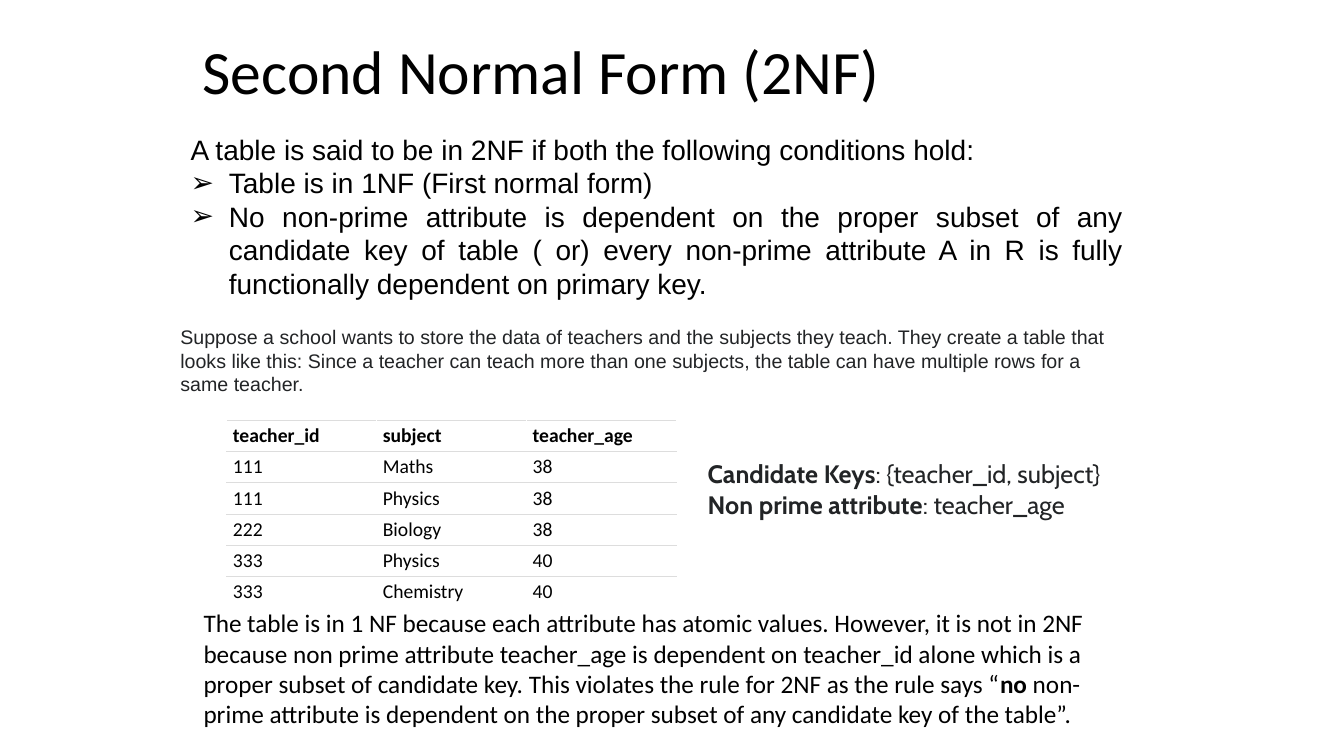
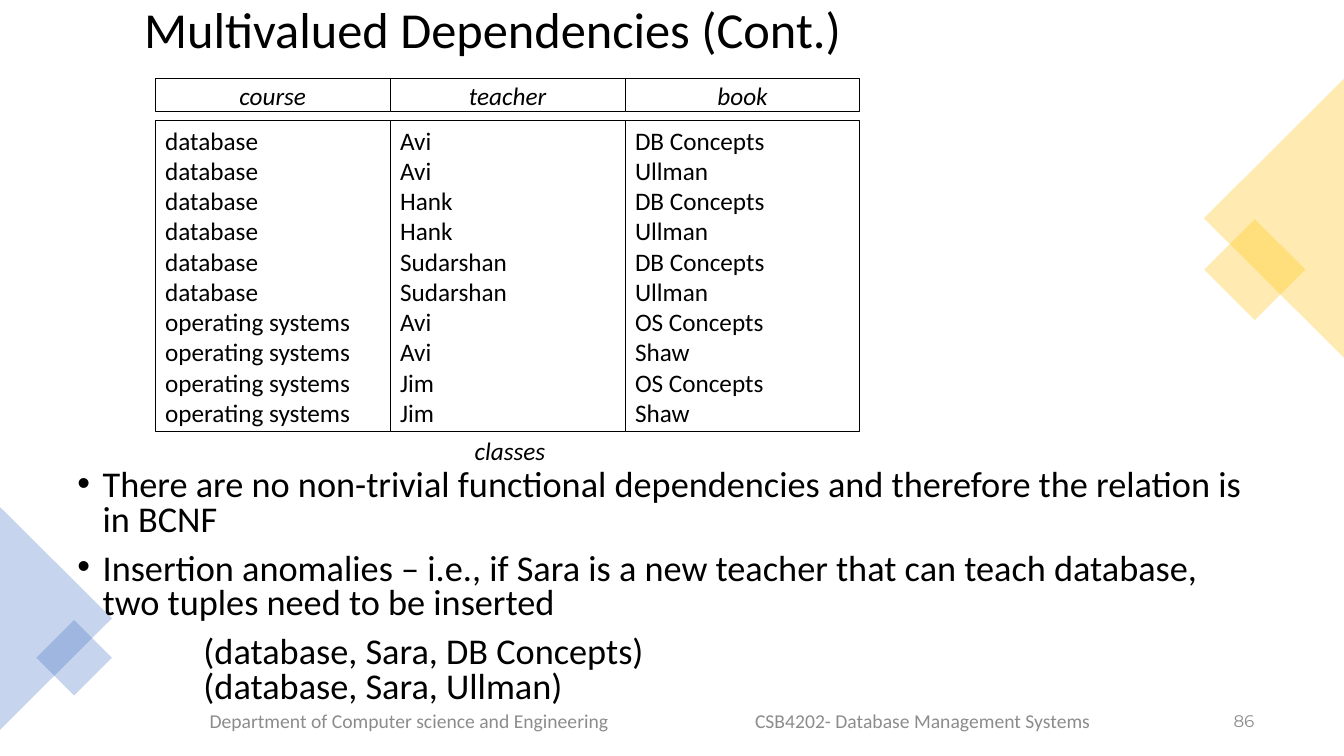
from lxml import etree
from pptx import Presentation
from pptx.dml.color import RGBColor
from pptx.enum.shapes import MSO_SHAPE as Shape
from pptx.enum.text import MSO_ANCHOR as Anchor, PP_ALIGN as Align
from pptx.oxml.ns import qn
from pptx.util import Inches, Pt

BLACK, WHITE, CHARCOAL = "000000", "FFFFFF", "222426"
GREY, RULE = "8C8C8C", "DDDDDD"
YELLOW, BLUE = "FFC000", "4472C4"
NO_INSETS = (0, 0, 0, 0)
DEFAULT_INSETS = (0.1, 0.05, 0.1, 0.05)


def rgb(color):
    return RGBColor.from_string(color)


def box_in(*lengths):
    return [Inches(length) for length in lengths]


# Text
def set_bullet(paragraph, mark, indent):
    """Indent a paragraph; a mark hangs in front of it."""
    properties = paragraph._p.get_or_add_pPr()
    properties.set("marL", str(Inches(indent)))
    if mark:
        properties.set("indent", str(-Inches(indent)))
        etree.SubElement(properties, qn("a:buFont"), typeface="Arial")
        etree.SubElement(properties, qn("a:buChar"), char=mark)


def style_paragraph(paragraph, size, font="Calibri", color=BLACK, bold=None,
                    italic=None, align=None):
    paragraph.alignment = align
    paragraph.font.size = Pt(size)
    paragraph.font.name = font
    paragraph.font.color.rgb = rgb(color)
    paragraph.font.bold = bold
    paragraph.font.italic = italic


def fill_frame(frame, paragraphs, size, anchor=Anchor.TOP,
               insets=DEFAULT_INSETS, bullets=(), spacing=None, gap=0, **style):
    """Each paragraph is a string or a list of (text, bold) runs."""
    frame.word_wrap = True
    frame.vertical_anchor = anchor
    (frame.margin_left, frame.margin_top,
     frame.margin_right, frame.margin_bottom) = box_in(*insets)
    for index, content in enumerate(paragraphs):
        paragraph = frame.add_paragraph() if index else frame.paragraphs[0]
        if bullets and bullets[index]:
            set_bullet(paragraph, *bullets[index])
        if isinstance(content, str):
            paragraph.text = content
        else:
            for text, bold in content:
                run = paragraph.add_run()
                run.text = text
                run.font.bold = bold
        paragraph.line_spacing = spacing
        if index and gap:
            paragraph.space_before = Pt(gap)
        style_paragraph(paragraph, size, **style)


def add_text(slide, box, paragraphs, size, **options):
    textbox = slide.shapes.add_textbox(*box_in(*box))
    fill_frame(textbox.text_frame, paragraphs, size, **options)


def add_title(slide, box, title, size, **options):
    add_text(slide, box, [title], size, anchor=Anchor.MIDDLE, **options)


# Shapes
def add_filled(slide, kind, box, color, line=None, rotation=0, opacity=None):
    shape = slide.shapes.add_shape(kind, *box_in(*box))
    shape.shadow.inherit = False
    shape.rotation = rotation
    shape.fill.solid()
    shape.fill.fore_color.rgb = rgb(color)
    if opacity:
        fill_color = shape.fill._xPr.find(qn("a:solidFill"))[0]
        etree.SubElement(fill_color, qn("a:alpha"), val=str(opacity * 1000))
    if line:
        shape.line.color.rgb = rgb(line)
        shape.line.width = Pt(0.75)
    else:
        shape.line.fill.background()
    return shape


def add_rule(cell, side):
    line = etree.SubElement(cell._tc.get_or_add_tcPr(), qn(f"a:{side}"),
                            w=str(Pt(0.75)))
    fill = etree.SubElement(line, qn("a:solidFill"))
    etree.SubElement(fill, qn("a:srgbClr"), val=RULE)


# Second normal form
def add_teacher_table(slide, left, top, width, row_height):
    rows = [
        ("teacher_id", "subject", "teacher_age"),
        ("111", "Maths", "38"),
        ("111", "Physics", "38"),
        ("222", "Biology", "38"),
        ("333", "Physics", "40"),
        ("333", "Chemistry", "40"),
    ]
    frame = slide.shapes.add_table(
        len(rows), len(rows[0]),
        *box_in(left, top, width, row_height * len(rows)))
    table = frame.table
    table.first_row = table.horz_banding = False
    for row_index, row in enumerate(rows):
        for column, value in enumerate(row):
            cell = table.cell(row_index, column)
            add_rule(cell, "lnT")
            if row_index < len(rows) - 1:
                add_rule(cell, "lnB")
            cell.fill.solid()
            cell.fill.fore_color.rgb = rgb(WHITE)
            cell.vertical_anchor = Anchor.MIDDLE
            cell.margin_left = cell.margin_right = Inches(0.06)
            cell.margin_top = cell.margin_bottom = Inches(0.03)
            paragraph = cell.text_frame.paragraphs[0]
            paragraph.text = value
            style_paragraph(paragraph, 14, bold=row_index == 0)


def build_second_normal_form(slide):
    add_title(slide, (2, 0.02, 8.83, 1.04), "Second Normal Form (2NF)", 44,
              insets=(0.01, 0.3, 0, 0))
    add_text(
        slide, (1.89, 1.25, 9.25, 2.42),
        ["A table is said to be in 2NF if both the following conditions hold:",
         "Table is in 1NF (First normal form)",
         "No non-prime attribute is dependent on the proper subset of any "
         "candidate key of table ( or) every non-prime attribute A in R is "
         "fully functionally dependent on primary key."],
        20, font="Arial", align=Align.JUSTIFY, insets=(0, 0.06, 0, 0),
        bullets=[None, ("➢", 0.38), ("➢", 0.38)])
    add_teacher_table(slide, 2.25, 4.17, 4.46, 0.31)

    # Example and its keys
    example = add_filled(slide, Shape.RECTANGLE, (1.69, 3.17, 9.5, 0.81), WHITE)
    fill_frame(
        example.text_frame,
        ["Suppose a school wants to store the data of teachers and the "
         "subjects they teach. They create a table that looks like this: "
         "Since a teacher can teach more than one subjects, the table can "
         "have multiple rows for a same teacher."],
        14, font="Arial", color=CHARCOAL, align=Align.LEFT,
        anchor=Anchor.MIDDLE)
    add_text(
        slide, (6.92, 4.5, 4.58, 0.71),
        [[("Candidate Keys", True), (": {teacher_id, subject}", None)],
         [("Non prime attribute", True), (": teacher_age", None)]],
        18, font="Cabin", color=CHARCOAL)

    # Conclusion
    add_text(
        slide, (1.92, 5.98, 9.42, 1.31),
        [[("The table is in 1 NF because each attribute has atomic values. "
           "However, it is not in 2NF because non prime attribute teacher_age "
           "is dependent on teacher_id alone which is a proper subset of "
           "candidate key. This violates the rule for 2NF as the rule says “",
           None),
          ("no", True),
          (" non-prime attribute is dependent on the proper subset of any "
           "candidate key of the table”.", None)]],
        18)


# Multivalued dependencies
def add_corner_decor(slide):
    for kind, box, rotation, color in [
        (Shape.RECTANGLE, (12.09, 2.32, 0.71, 0.71), 45, YELLOW),
        (Shape.ISOSCELES_TRIANGLE, (11.25, 1.47, 2.77, 1.39), 270, YELLOW),
        (Shape.ISOSCELES_TRIANGLE, (-0.55, 5.58, 2.21, 1.11), 90, BLUE),
        (Shape.RECTANGLE, (0.47, 6.26, 0.53, 0.53), 45, BLUE),
    ]:
        add_filled(slide, kind, box, color, rotation=rotation, opacity=30)


def add_footer(slide, top, height):
    for left, width, text, size, font, align in [
        (1.98, 4.6, "Department of Computer science and Engineering",
         14, "Calibri", Align.LEFT),
        (7.39, 4, "CSB4202- Database Management Systems",
         14, "Calibri", Align.LEFT),
        (11.82, 0.72, "86", 12, "Montserrat", Align.RIGHT),
    ]:
        add_text(slide, (left, top, width, height), [text], size, font=font,
                 color=GREY, align=align, anchor=Anchor.MIDDLE)


def add_classes_relation(slide, left, top, column_width):
    columns = {
        "course": ["database"] * 6 + ["operating systems"] * 4,
        "teacher": [name for name in ("Avi", "Hank", "Sudarshan", "Avi", "Jim")
                    for _ in range(2)],
        "book": ["DB Concepts", "Ullman"] * 3 + ["OS Concepts", "Shaw"] * 2,
    }
    for index, (heading, values) in enumerate(columns.items()):
        x = left + index * column_width
        for y, height, lines, italic, align in [
            (top, 0.33, [heading], True, Align.CENTER),
            (top + 0.42, 3.08, values, None, Align.LEFT),
        ]:
            column = add_filled(slide, Shape.RECTANGLE,
                                (x, y, column_width, height), WHITE, BLACK)
            fill_frame(column.text_frame, lines, 18, italic=italic,
                       align=align, anchor=Anchor.MIDDLE,
                       insets=(0.1, 0, 0.1, 0))
    add_text(slide, (left + 3.07, top + 3.49, 1.03, 0.4), ["classes"], 18,
             italic=True)


def build_multivalued_dependencies(slide):
    add_corner_decor(slide)
    add_footer(slide, 6.95, 0.4)
    add_text(
        slide, (0.67, 4.61, 11.87, 2.53),
        ["There are no non-trivial functional dependencies and therefore the "
         "relation is in BCNF",
         "Insertion anomalies – i.e., if Sara is a new teacher that can teach "
         "database, two tuples need to be inserted",
         "(database, Sara, DB Concepts)\v(database, Sara, Ullman)"],
        25.9, bullets=[("•", 0.25), ("•", 0.25), (None, 1.25)],
        spacing=0.8, gap=10)
    add_classes_relation(slide, 1.54, 0.78, 2.33)
    add_title(slide, (1.33, 0.1, 10.99, 0.44),
              "Multivalued Dependencies (Cont.)", 36, spacing=0.9)


def main():
    deck = Presentation()
    deck.slide_width, deck.slide_height = box_in(13.33, 7.5)
    blank = deck.slide_layouts[6]
    for build in (build_second_normal_form, build_multivalued_dependencies):
        build(deck.slides.add_slide(blank))
    deck.save("out.pptx")


if __name__ == "__main__":
    main()
